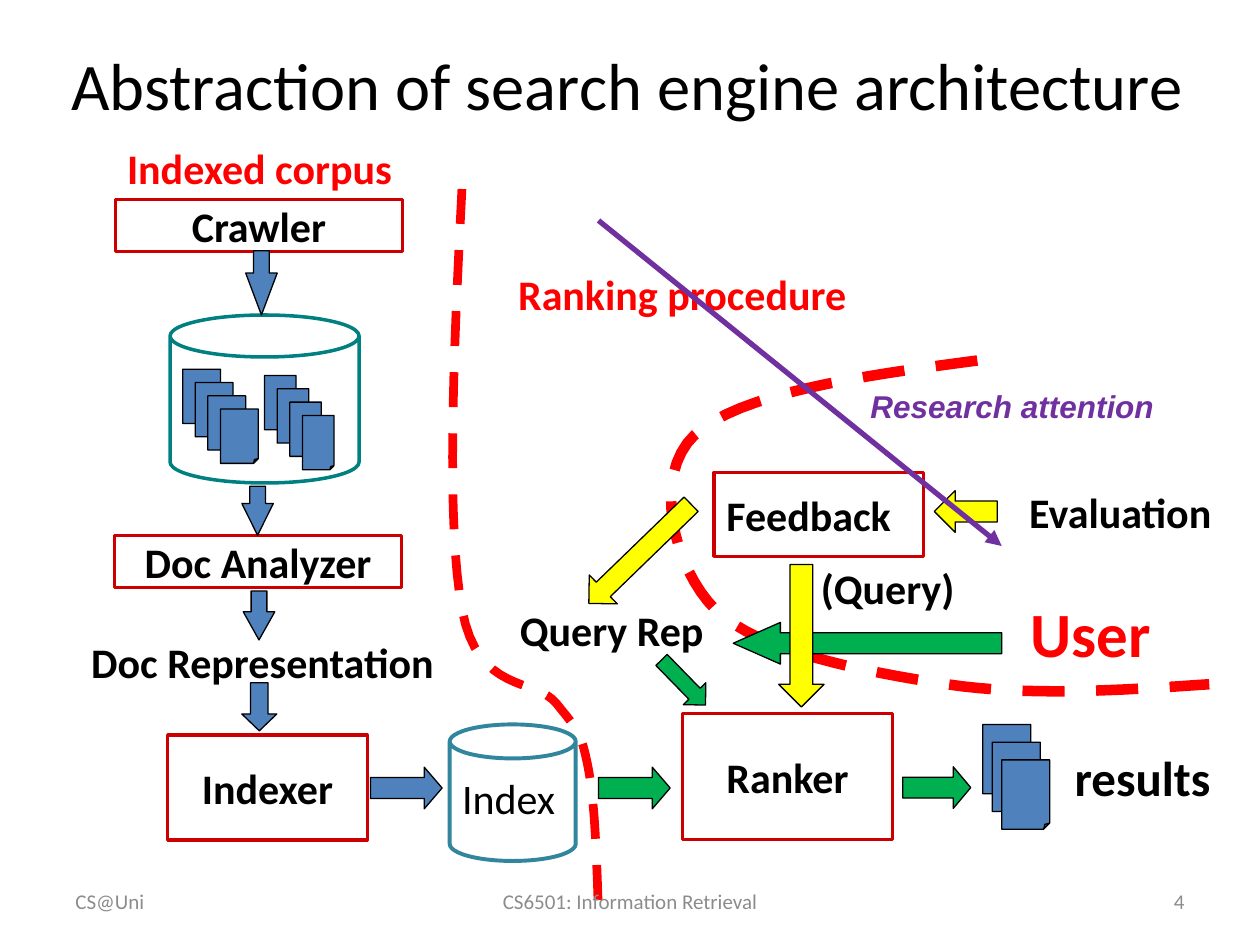
from lxml import etree
from pptx import Presentation
from pptx.dml.color import RGBColor
from pptx.enum import dml, shapes, text
from pptx.oxml.ns import qn
from pptx.util import Pt

SHAPE = shapes.MSO_SHAPE
LEFT, CENTER, RIGHT = text.PP_ALIGN.LEFT, text.PP_ALIGN.CENTER, text.PP_ALIGN.RIGHT
BLACK, RED, BOX_RED, PURPLE, GREY = "000000", "FF0000", "CC0000", "7030A0", "8C8C8C"
BLUE, GREEN, YELLOW = "4F81BD", "00B050", "FFFF00"


def color(hex_code):
    return RGBColor.from_string(hex_code)


def place(region, box):
    """Turn a box relative to a region into slide lengths."""
    left, top, width, height = box
    return Pt(region[0] + left), Pt(region[1] + top), Pt(width), Pt(height)


def write(frame, words, size=24, ink=BLACK, bold=True, italic=False,
          font="Calibri", align=LEFT, middle=False):
    frame.word_wrap = True
    frame.vertical_anchor = text.MSO_ANCHOR.MIDDLE if middle else text.MSO_ANCHOR.TOP
    paragraph = frame.paragraphs[0]
    paragraph.alignment = align
    run = paragraph.add_run()
    run.text = words
    run.font.name, run.font.size = font, Pt(size)
    run.font.bold, run.font.italic = bold, italic
    run.font.color.rgb = color(ink)


def label(slide, region, box, words, **style):
    write(slide.shapes.add_textbox(*place(region, box)).text_frame, words, **style)


def outline(shape, ink, weight, fill=None):
    shape.shadow.inherit = False
    shape.line.color.rgb = color(ink)
    shape.line.width = Pt(weight)
    if fill:
        shape.fill.solid()
        shape.fill.fore_color.rgb = color(fill)
    else:
        shape.fill.background()


def stage(slide, region, box, words, align=CENTER):
    shape = slide.shapes.add_shape(SHAPE.RECTANGLE, *place(region, box))
    outline(shape, BOX_RED, 1.75)
    write(shape.text_frame, words, align=align, middle=True)


def arrow(slide, region, box, fill, head=0.5, turn=0):
    """Down arrow turned clockwise; head is its length relative to the width."""
    shape = slide.shapes.add_shape(SHAPE.DOWN_ARROW, *place(region, box))
    shape.adjustments[0], shape.adjustments[1] = 0.5, head
    shape.rotation = turn
    outline(shape, BLACK, 0.75, fill)


def store(slide, region, box, ink, weight, rim):
    shape = slide.shapes.add_shape(SHAPE.CAN, *place(region, box))
    shape.adjustments[0] = rim
    outline(shape, ink, weight)


def documents(slide, region, box, count, step):
    left, top, width, height = box
    for i in range(count):
        page = (left + i * step[0], top + i * step[1], width, height)
        shape = slide.shapes.add_shape(SHAPE.FOLDED_CORNER, *place(region, page))
        # python-pptx lists no adjustment for this preset
        guides = next(shape._element.iter(qn("a:avLst")))
        etree.SubElement(guides, qn("a:gd"), name="adj", fmla="val 12500")
        outline(shape, BLACK, 0.75, BLUE)


def boundary(slide, region, knots, weight, steps=16):
    """Dashed line along cubic curves; knots are start, then two controls and an end each."""
    points = []
    for k in range(0, len(knots) - 1, 3):
        for i in range(1, steps + 1):
            t = i / steps
            weights = ((1 - t) ** 3, 3 * t * (1 - t) ** 2, 3 * t * t * (1 - t), t ** 3)
            points.append([sum(w * p[axis] for w, p in zip(weights, knots[k:k + 4]))
                           for axis in (0, 1)])
    start, *route = [(Pt(region[0] + x), Pt(region[1] + y)) for x, y in [knots[0]] + points]
    builder = slide.shapes.build_freeform(*start)
    builder.add_line_segments(route, close=False)
    curve = builder.convert_to_shape()
    outline(curve, RED, weight)
    curve.line.dash_style = dml.MSO_LINE.DASH


def indexing(slide, region):
    label(slide, region, (35.5, 0, 192, 36), "Indexed corpus", ink=RED)
    stage(slide, region, (36, 36, 164, 30), "Crawler")
    store(slide, region, (67.2, 102, 108, 96), "008080", 2, 0.25)
    documents(slide, region, (74.4, 133, 21.6, 31), 4, (7.2, 7.6))
    documents(slide, region, (121.2, 136.6, 18, 31), 4, (7.2, 7.6))
    stage(slide, region, (35.5, 228, 164, 30), "Doc Analyzer")
    label(slide, region, (0, 282, 240, 36), "Doc Representation", align=CENTER)
    stage(slide, region, (65.8, 342, 114, 60), "Indexer")
    for box, head in (((110.4, 65.3, 18, 36.7), 1.33), ((108.2, 199.9, 18, 28), 1.01),
                      ((109, 259.7, 18, 28), 0.89), ((108.2, 312.2, 20, 27.4), 0.48)):
        arrow(slide, region, box, BLUE, head)
    arrow(slide, region, (190.3, 351.8, 23.8, 41), BLUE, 0.43, 270)
    store(slide, region, (227, 336, 72, 78), "31859C", 2.25, 0.27)
    label(slide, region, (227, 359.8, 72, 36), "Index", bold=False)


def ranking(slide, region):
    stage(slide, region, (45, 38, 120, 72), "Ranker")
    arrow(slide, region, (36.6, 2, 18, 36), GREEN, turn=315.7)
    arrow(slide, region, (5.6, 59.8, 23.8, 41), GREEN, 0.43, 270)
    arrow(slide, region, (178.4, 60.6, 23.8, 38.9), GREEN, 0.42, 270)
    documents(slide, region, (216.6, 44, 27.4, 39.6), 3, (5.4, 10.1))
    label(slide, region, (262, 53.4, 94, 41), "results", size=28)


def boundaries(slide, region):
    boundary(slide, region, [(9, 0), (4, 96), (0, 191), (9, 240), (18, 289), (51, 279),
                             (63, 294), (75, 309), (77, 310), (81, 330), (85, 350),
                             (86, 382), (87, 414)], 5)
    boundary(slide, region, [(303.5, 98), (235, 107), (167, 117), (142, 140.5), (117, 164),
                             (130, 217), (154, 240.5), (178, 264), (239, 276), (286, 283),
                             (333, 290), (384.5, 286.5), (436, 283)], 6)


def user_side(slide, region):
    label(slide, region, (291.8, 120.2, 112, 50.4), "User", size=36, ink=RED)
    label(slide, region, (0, 126, 160, 36), "Query Rep")
    arrow(slide, region, (193.8, 74.9, 23.8, 153.4), GREEN, 1.13, 90)
    label(slide, region, (172, 102, 160, 36), "(Query)")
    label(slide, region, (291, 58.3, 120, 36.7), "Evaluation")
    stage(slide, region, (118, 54, 120, 48), "Feedback", align=LEFT)
    arrow(slide, region, (250, 58.3, 23.8, 36), YELLOW, turn=90)
    arrow(slide, region, (155, 106.6, 25.9, 81.4), YELLOW)
    arrow(slide, region, (64.2, 59.8, 23, 81.4), YELLOW, turn=45.9)


def attention(slide, region):
    label(slide, region, (0, 24, 217, 36), "Ranking procedure", ink=RED)
    left, top, width, height = place(region, (53, 0, 230.4, 186))
    trend = slide.shapes.add_connector(shapes.MSO_CONNECTOR.STRAIGHT,
                                       left, top, left + width, top + height)
    trend.line.color.rgb = color(PURPLE)
    trend.line.width = Pt(3)
    properties = trend._element.spPr
    etree.SubElement(properties.find(qn("a:ln")), qn("a:tailEnd"), type="triangle")
    etree.SubElement(properties, qn("a:effectLst"))
    label(slide, region, (201.3, 91.4, 210, 29), "Research attention", size=18,
          ink=PURPLE, italic=True, font="Arial")


def footer(slide, region):
    for left, width, words, align in ((0, 168, "CS@Uni", LEFT),
                                      (210, 228, "CS6501: Information Retrieval", CENTER),
                                      (480, 168, "4", RIGHT)):
        label(slide, region, (left, 0, width, 28.8), words, size=12, ink=GREY,
              bold=False, align=align, middle=True)


def main():
    deck = Presentation()
    deck.slide_width, deck.slide_height = Pt(720), Pt(540)
    slide = deck.slides.add_slide(deck.slide_layouts[6])
    label(slide, (6, 6), (0, 0, 705, 84), "Abstraction of search engine architecture",
          size=38, bold=False, align=CENTER, middle=True)
    indexing(slide, (30, 78))
    ranking(slide, (345, 370))
    boundaries(slide, (255, 108))
    user_side(slide, (290, 216))
    footer(slide, (36, 500.4))
    attention(slide, (289, 126))
    deck.save("out.pptx")


if __name__ == "__main__":
    main()
